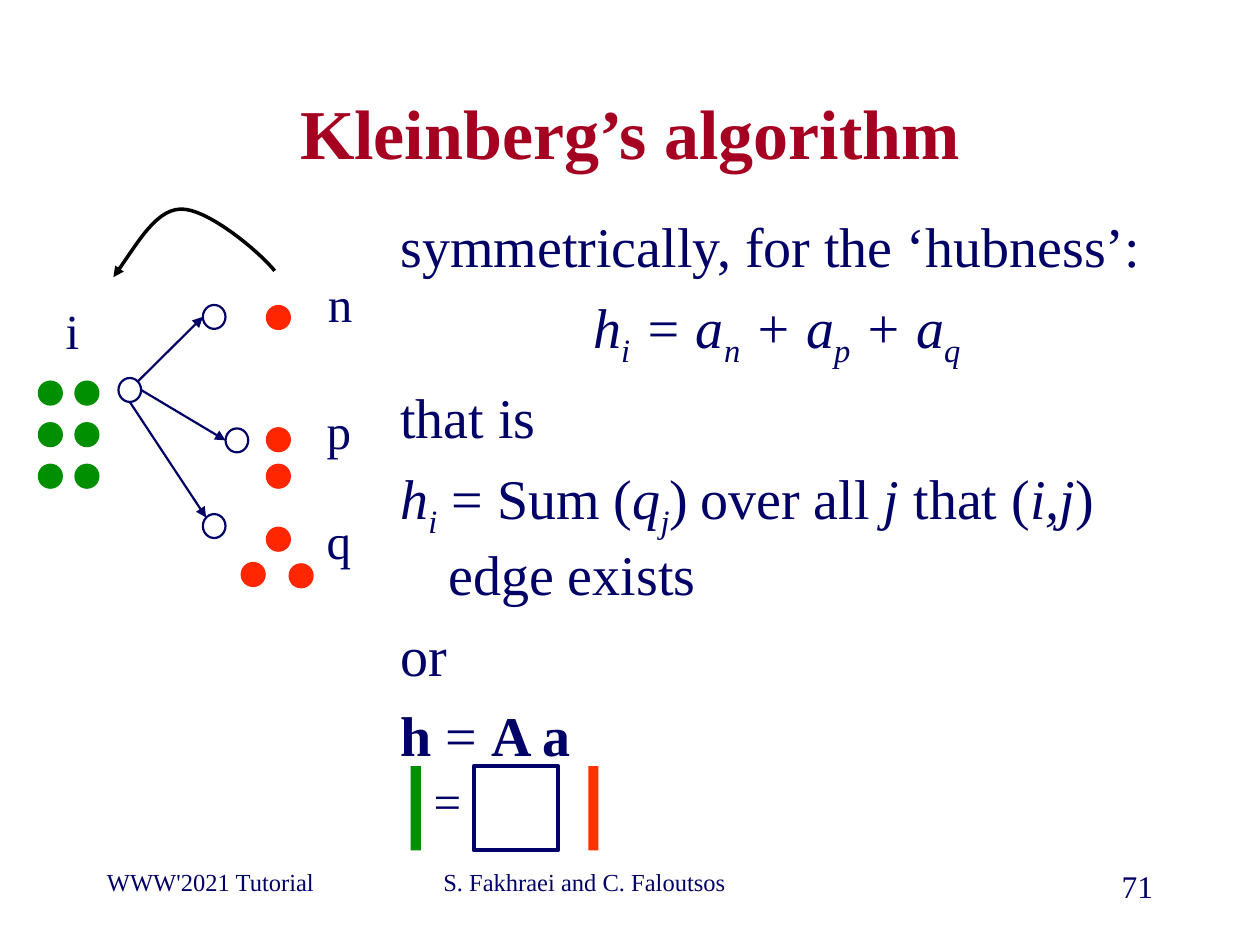
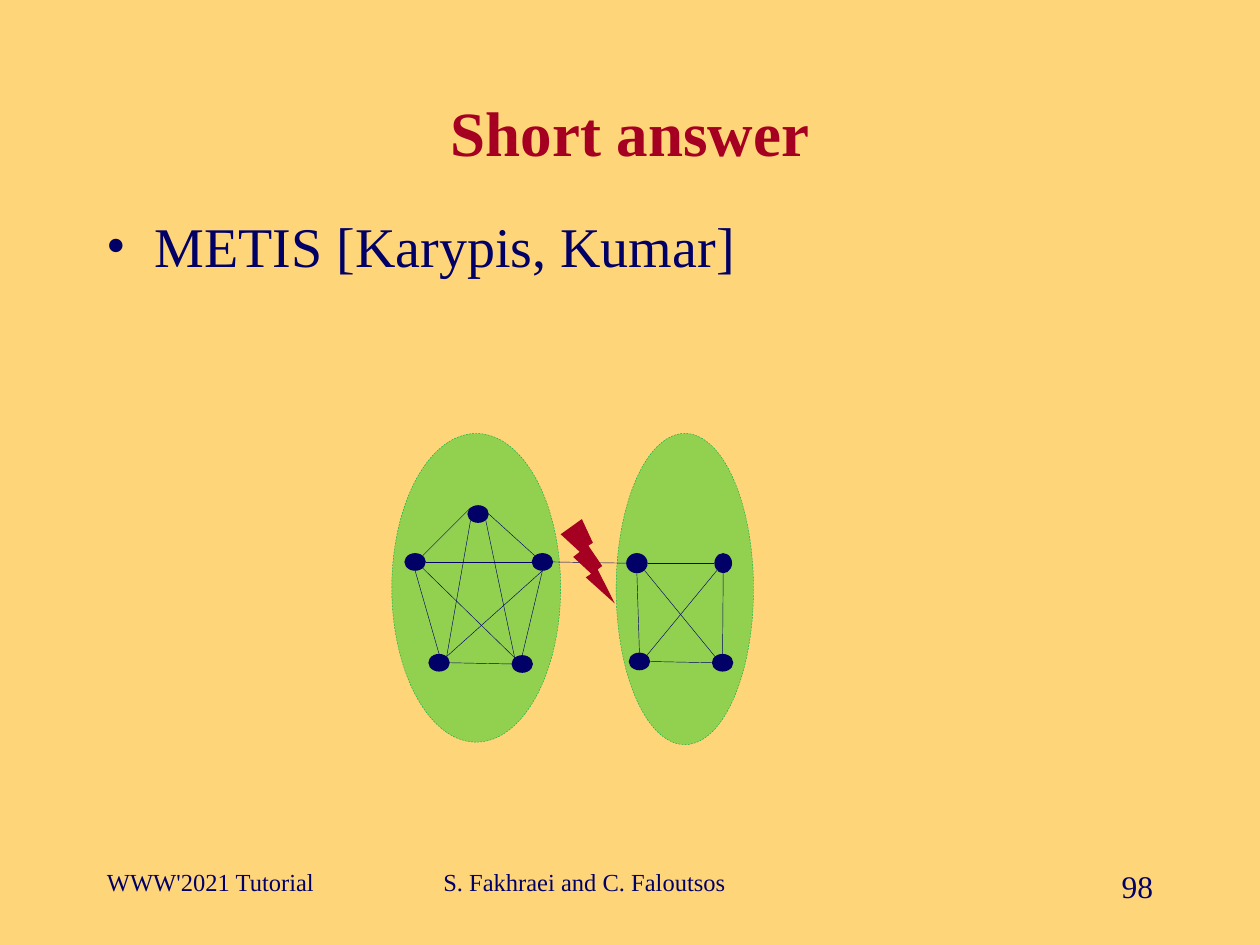
from itertools import product

from lxml.etree import SubElement
from pptx import Presentation
from pptx.dml.color import RGBColor
from pptx.enum.dml import MSO_LINE
from pptx.enum.shapes import MSO_CONNECTOR, MSO_SHAPE
from pptx.enum.text import MSO_ANCHOR, MSO_AUTO_SIZE, PP_ALIGN
from pptx.oxml.ns import qn
from pptx.util import Inches, Pt

NAVY = RGBColor(0x00, 0x00, 0x66)
CRIMSON = RGBColor(0xA5, 0x00, 0x21)
GREEN = RGBColor(0x00, 0x8F, 0x00)
RED = RGBColor(0xFF, 0x26, 0x00)
ORANGE_RED = RGBColor(0xFF, 0x33, 0x00)
BLACK = RGBColor(0x00, 0x00, 0x00)
WHITE = RGBColor(0xFF, 0xFF, 0xFF)
SAND = RGBColor(0xFF, 0xD5, 0x79)
LIME = RGBColor(0x92, 0xD0, 0x50)
LEAF = RGBColor(0x00, 0xB0, 0x50)

FONT = "Times New Roman"
COLUMNS, ROWS = 100, 75
HANG = Inches(0.38)

# Points on an ellipse, as shares of its half width and half height
SITES = {"n": (0, -1), "s": (0, 1), "w": (-1, 0), "e": (1, 0),
         "nw": (-0.71, -0.71), "ne": (0.71, -0.71),
         "sw": (-0.71, 0.71), "se": (0.71, 0.71)}


def apply(target, values):
    for name, value in values.items():
        setattr(target, name, value)


def curve_points(start, *segments, steps=16):
    """Points along a chain of cubic curves."""
    points = [start]
    for c1, c2, end in segments:
        for t in (k / steps for k in range(1, steps + 1)):
            weights = ((1 - t) ** 3, 3 * t * (1 - t) ** 2, 3 * t * t * (1 - t), t ** 3)
            points.append(tuple(sum(w * v for w, v in zip(weights, axis))
                                for axis in zip(start, c1, c2, end)))
        start = end
    return points


class Deck:
    """Holds the style and the current slide; lengths are grid columns and rows."""

    def __init__(self):
        self.prs = Presentation()
        apply(self.prs, {"slide_width": Inches(10), "slide_height": Inches(7.5)})
        self.s = None

    def x(self, columns):
        return round(self.prs.slide_width * columns / COLUMNS)

    def y(self, rows):
        return round(self.prs.slide_height * rows / ROWS)

    def box(self, left, top, width, height):
        return self.x(left), self.y(top), self.x(width), self.y(height)

    def new_slide(self, title, number, size, background):
        self.s = self.prs.slides.add_slide(self.prs.slide_layouts[6])
        self.s.background.fill.solid()
        self.s.background.fill.fore_color.rgb = background
        self.text((7.5, 6.7, 85, 7.5), [[(title, "b")]], size, CRIMSON,
                  align=PP_ALIGN.CENTER, anchor=MSO_ANCHOR.MIDDLE)
        self.text((7.5, 68.3, 20.8, 5), [[("WWW'2021 Tutorial", "")]], 14)
        self.text((34.2, 68.3, 31.7, 5), [[("S. Fakhraei and C. Faloutsos", "")]], 14)
        self.text((71.7, 68.3, 20.8, 5), [[(number, "")]], 18, align=PP_ALIGN.RIGHT)

    def text(self, place, paragraphs, size, color=NAVY, align=PP_ALIGN.LEFT,
             anchor=MSO_ANCHOR.TOP, **frame):
        """Run styles: b bold, i italic, _ subscript."""
        tf = self.s.shapes.add_textbox(*self.box(*place)).text_frame
        apply(tf, {"word_wrap": True, "vertical_anchor": anchor, **frame})
        for index, runs in enumerate(paragraphs):
            p = tf.add_paragraph() if index else tf.paragraphs[0]
            p.alignment = align
            for content, style in runs:
                r = p.add_run()
                r.text = content
                apply(r.font, {"name": FONT, "size": Pt(size),
                               "bold": "b" in style, "italic": "i" in style})
                r.font.color.rgb = color
                if "_" in style:
                    r.font._element.set("baseline", "-25000")
        return tf

    def body(self, place, paragraphs, bullet=None, tab=None):
        tf = self.text(place, paragraphs, 32, margin_top=Inches(0.1))
        for index, p in enumerate(tf.paragraphs):
            if index:
                p.space_before = Pt(7.7)
            pPr = p._p.get_or_add_pPr()
            pPr.set("marL", str(HANG))
            pPr.set("indent", str(-HANG))
            if bullet:
                SubElement(pPr, qn("a:buFont"), typeface=FONT)
                SubElement(pPr, qn("a:buChar"), char=bullet)
            if tab:
                tabs = SubElement(pPr, qn("a:tabLst"))
                SubElement(tabs, qn("a:tab"), pos=str(self.x(tab)), algn="l")
        return tf

    def label(self, place, content, anchor=MSO_ANCHOR.MIDDLE):
        self.text(place, [[(content, "")]], 28, align=PP_ALIGN.CENTER, anchor=anchor,
                  word_wrap=False, auto_size=MSO_AUTO_SIZE.SHAPE_TO_FIT_TEXT)

    def stroke(self, sp, color, width, arrow=False, dash=None):
        sp.line.color.rgb = color
        sp.line.width = Pt(width)
        if dash:
            sp.line.dash_style = dash
        if arrow:
            SubElement(sp.line._get_or_add_ln(), qn("a:tailEnd"), type="triangle")

    def shape(self, place, kind=MSO_SHAPE.OVAL, fill=None, line=None, width=1.25, dash=None):
        sp = self.s.shapes.add_shape(kind, *self.box(*place))
        sp.shadow.inherit = False
        if fill:
            sp.fill.solid()
            sp.fill.fore_color.rgb = fill
        else:
            sp.fill.background()
        if line:
            self.stroke(sp, line, width, dash=dash)
        else:
            sp.line.fill.background()
        return sp

    def dots(self, spots, color):
        for left, top in spots:
            self.shape((left, top, 2, 2), fill=color)

    def edge(self, start, start_site, end, end_site, width=0.25, arrow=False):
        ends = []
        for sp, site in ((start, start_site), (end, end_site)):
            dx, dy = SITES[site]
            ends += [round(sp.left + sp.width * (1 + dx) / 2),
                     round(sp.top + sp.height * (1 + dy) / 2)]
        line = self.s.shapes.add_connector(MSO_CONNECTOR.STRAIGHT, *ends)
        self.stroke(line, NAVY, width, arrow)
        SubElement(line._element.spPr, qn("a:effectLst"))

    def curve(self, points, color, width):
        (left, top), *rest = [(self.x(a), self.y(b)) for a, b in points]
        builder = self.s.shapes.build_freeform(left, top, scale=1.0)
        builder.add_line_segments(rest, close=False)
        sp = builder.convert_to_shape()
        sp.shadow.inherit = False
        sp.fill.background()
        self.stroke(sp, color, width, arrow=True)


def kleinberg(deck):
    deck.new_slide("Kleinberg’s algorithm", "71", 40, WHITE)
    tf = deck.body((30.8, 15.8, 61.7, 50.8), [
        [("symmetrically, for the ‘hubness’:", "")],
        [("h", "i"), ("i", "i_"), (" = a", "i"), ("n", "i_"), (" + a", "i"),
         ("p", "i_"), (" + a", "i"), ("q", "i_")],
        [("that is", "")],
        [("h", "i"), ("i", "i_"), (" = Sum (", ""), ("q", "i"), ("j", "i_"),
         (")\tover all ", ""), ("j", "i"), (" that (", ""), ("i,j", "i"),
         (") edge exists", "")],
        [("or", "")],
        [("h", "b"), (" = ", ""), ("A a", "b")],
    ], tab=28.3)
    tf.paragraphs[1].alignment = PP_ALIGN.CENTER

    # Graph: i points to n, p and q
    spots = {"i": (9.4, 30), "n": (16.1, 24.2), "p": (17.9, 34), "q": (16.1, 40.8)}
    nodes = {name: deck.shape((*spot, 1.8, 1.9), line=NAVY)
             for name, spot in spots.items()}
    for start_site, name, end_site in (("ne", "n", "w"), ("e", "p", "w"), ("s", "q", "nw")):
        deck.edge(nodes["i"], start_site, nodes[name], end_site, 1.25, arrow=True)
    for name, left, top, width in (("i", 4.2, 23.3, 3.1), ("n", 25, 21.2, 4),
                                   ("p", 24.9, 31.3, 4), ("q", 24.9, 40, 4)):
        deck.label((left, top, width, 5.7), name)

    # Scores: hubness in green, authority in red
    deck.dots(product((3, 5.9), (30.2, 33.5, 36.8)), GREEN)
    deck.dots([(21.1, top) for top in (24.2, 33.9, 36.8, 41.8)]
              + [(19.1, 44.6), (22.9, 44.7)], RED)
    deck.curve(curve_points((21.8, 21.5), ((20.5, 19.9), (16.4, 16.5), (14.3, 16.6)),
                            ((12.2, 16.7), (10.7, 19.7), (9, 22))), BLACK, 2)

    # Matrix equation
    for left, color in ((32.6, GREEN), (46.7, ORANGE_RED)):
        deck.shape((left, 60.8, 0.8, 6.7), MSO_SHAPE.RECTANGLE, fill=color)
    deck.shape((37.6, 60.8, 6.7, 6.7), MSO_SHAPE.RECTANGLE, line=NAVY, width=2.25)
    deck.label((33.4, 60.7, 4.2, 5.7), "=", MSO_ANCHOR.TOP)


def short_answer(deck):
    deck.new_slide("Short answer", "98", 36, SAND)
    deck.body((7.5, 15.8, 85, 50.8), [[("METIS [Karypis, Kumar]", "")]], bullet="•")

    # Partitions
    for place in ((48.9, 34.4, 10.9, 24.7), (31.1, 34.4, 13.4, 24.5)):
        deck.shape(place, fill=LIME, line=LEAF, width=0.25, dash=MSO_LINE.DASH)

    # Nodes: a pentagon on the left, a square on the right
    places = {
        "top": (37.1, 40.1, 1.7, 1.4), "left": (32.1, 43.9, 1.7, 1.4),
        "right": (42.2, 43.9, 1.7, 1.4), "foot left": (34, 51.9, 1.7, 1.4),
        "foot right": (40.6, 52, 1.7, 1.4),
        "A": (49.7, 43.9, 1.7, 1.6), "B": (56.7, 43.9, 1.4, 1.6),
        "C": (49.9, 51.8, 1.7, 1.4), "D": (56.5, 51.9, 1.7, 1.4),
    }
    nodes = {name: deck.shape(place, fill=NAVY) for name, place in places.items()}
    for start, start_site, end, end_site in (
            ("top", "e", "right", "nw"), ("top", "se", "foot right", "nw"),
            ("top", "sw", "foot left", "ne"), ("top", "nw", "left", "ne"),
            ("left", "e", "right", "w"), ("right", "s", "foot right", "n"),
            ("foot left", "e", "foot right", "w"), ("left", "s", "foot left", "n"),
            ("left", "se", "foot right", "nw"), ("right", "s", "foot left", "ne"),
            ("A", "e", "B", "w"), ("B", "s", "D", "n"), ("C", "e", "D", "w"),
            ("A", "s", "C", "n"), ("A", "se", "D", "nw"), ("B", "sw", "C", "ne"),
            ("right", "e", "A", "w")):
        deck.edge(nodes[start], start_site, nodes[end], end_site)

    # The cut
    deck.shape((44.5, 41.2, 4.3, 6.7), MSO_SHAPE.LIGHTNING_BOLT, fill=CRIMSON)


def main():
    deck = Deck()
    kleinberg(deck)
    short_answer(deck)
    deck.prs.save("out.pptx")


if __name__ == "__main__":
    main()
